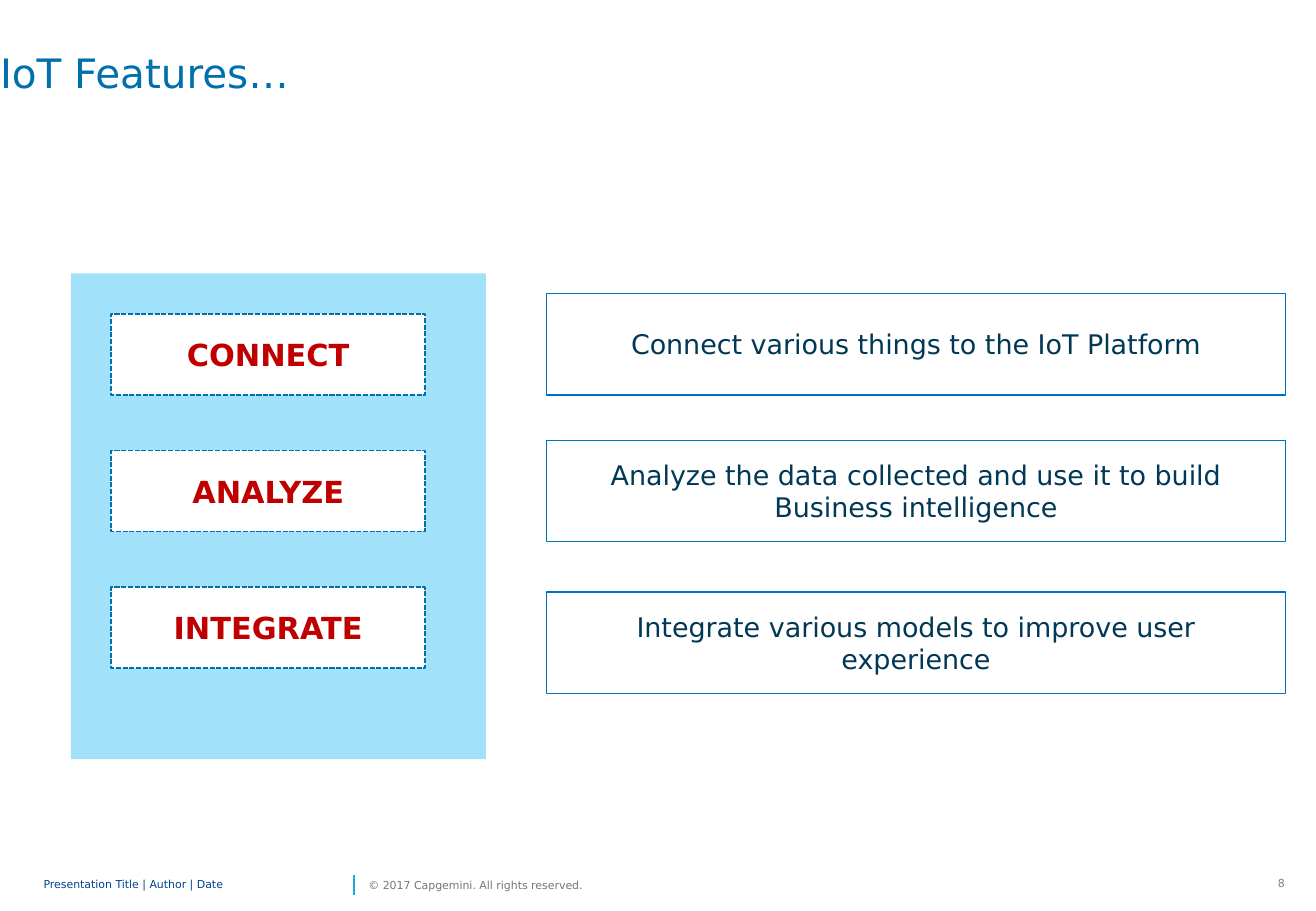
from pptx import Presentation, util as u
from pptx.dml.color import RGBColor
from pptx.enum import dml, shapes, text
from pptx.oxml.ns import qn
from lxml import etree

COLUMNS, ROWS = 130, 90
CELL = u.Inches(1) / 12
FONT = "DejaVu Sans"

TITLE = "IoT Features…"
FEATURES = [
    ("CONNECT", "Connect various things to the IoT Platform", 29),
    ("ANALYZE", "Analyze the data collected and use it to build Business intelligence", 43.5),
    ("INTEGRATE", "Integrate various models to improve user experience", 58.5),
]
FOOTERS = [
    ("Presentation Title | Author | Date", (4.3, 86, 30.1, 2.9), "00458D", 0.85),
    ("© 2017 Capgemini. All rights reserved.", (36.4, 86, 23.8, 2.9), "767676", 1),
]
PAGE_NUMBER = "8"
PANEL = (7, 27, 41, 48)
LABEL_TOP, LABEL_STEP = 31, 13.5


def color(value):
    return RGBColor.from_string(value)


def grid(*cells):
    return [round(cell * CELL) for cell in cells]


def write(shape, words, size, ink, bold=False, align=text.PP_ALIGN.LEFT,
          anchor=text.MSO_ANCHOR.MIDDLE, spacing=None, wrap=True, inset=None):
    frame = shape.text_frame
    frame.word_wrap = wrap
    frame.vertical_anchor = anchor
    if inset is not None:
        frame.margin_left = frame.margin_right = inset
        frame.margin_top = frame.margin_bottom = inset
    paragraph = frame.paragraphs[0]
    paragraph.alignment = align
    paragraph.line_spacing = spacing
    run = paragraph.add_run()
    run.text = words
    run.font.name, run.font.size, run.font.bold = FONT, u.Pt(size), bold
    run.font.color.rgb = color(ink)


def add_box(slide, cells, fill, outline=None, dash=None):
    shape = slide.shapes.add_shape(shapes.MSO_SHAPE.RECTANGLE, *grid(*cells))
    shape.shadow.inherit = False
    shape.fill.solid()
    shape.fill.fore_color.rgb = color(fill)
    if outline:
        shape.line.color.rgb = color(outline)
        shape.line.width = u.Pt(1)
        shape.line.dash_style = dash
    else:
        shape.line.fill.background()
    return shape


def add_footer(slide):
    page = slide.shapes.add_textbox(*grid(123.8, 86, 4.3, 2.5))
    write(page, PAGE_NUMBER, 6.5, "808080", align=text.PP_ALIGN.RIGHT,
          anchor=text.MSO_ANCHOR.TOP)
    divider = slide.shapes.add_connector(
        shapes.MSO_CONNECTOR.STRAIGHT, *grid(35, 88.4, 35, 86.4))
    divider.line.color.rgb = color("12ABDB")
    divider.line.width = u.Pt(1)
    etree.SubElement(divider._element.spPr, qn("a:effectLst"))
    for words, cells, ink, spacing in FOOTERS:
        box = slide.shapes.add_textbox(*grid(*cells))
        write(box, words, 6.5, ink, spacing=spacing, inset=0)


def add_features(slide):
    panel = add_box(slide, PANEL, "00B0F0")
    fill_color = panel._element.spPr.find(qn("a:solidFill"))[0]
    etree.SubElement(fill_color, qn("a:alpha"), val="37000")
    for index, (label, description, top) in enumerate(FEATURES):
        label_box = add_box(slide, (11, LABEL_TOP + index * LABEL_STEP, 31, 8),
                            "FFFFFF", "0070AD", dml.MSO_LINE.SQUARE_DOT)
        write(label_box, label, 18, "C00000", bold=True, align=text.PP_ALIGN.CENTER)
        description_box = add_box(slide, (54, top, 73, 10), "FFFFFF", "0070C0")
        write(description_box, description, 16, "003856", align=text.PP_ALIGN.CENTER)


def main():
    presentation = Presentation()
    presentation.slide_width, presentation.slide_height = grid(COLUMNS, ROWS)
    slide = presentation.slides.add_slide(presentation.slide_layouts[6])
    add_footer(slide)
    title = slide.shapes.add_textbox(*grid(0, 5.3, 117.5, 11.3))
    write(title, TITLE, 24, "0070AD", anchor=text.MSO_ANCHOR.TOP, spacing=0.9, inset=0)
    add_features(slide)
    presentation.save("out.pptx")


if __name__ == "__main__":
    main()
